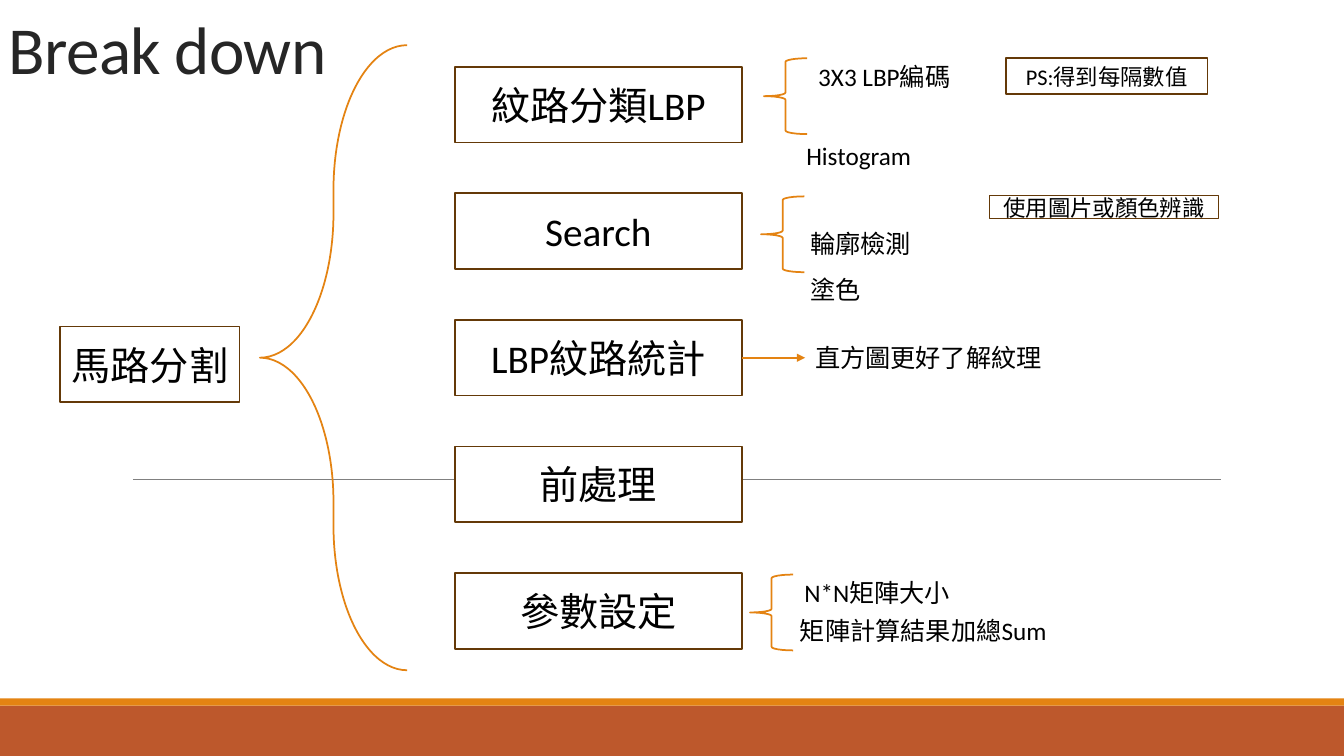
"""Builds the "Break down" slide: a brace tree of road segmentation steps."""
from pptx import Presentation
from pptx.dml.color import RGBColor
from pptx.enum.shapes import MSO_CONNECTOR as CONN, MSO_SHAPE as SHAPE
from pptx.enum.text import MSO_ANCHOR as ANCHOR, PP_ALIGN as ALIGN
from pptx.oxml.ns import qn
from pptx.util import Cm, Pt
from lxml.etree import SubElement

FONT = "Calibri"
WIDTH, HEIGHT = 33.87, 19.05
ORANGE, RUST, BROWN, GREY = "E48312", "BD582C", "643908", "808080"
WHITE, BLACK, DARK = "FFFFFF", "000000", "262626"

TITLE = ("Break down", (-0.03, 0.79, 13.39, 1.55))
BANDS = [(RUST, (0, 17.78, WIDTH, 1.27)), (ORANGE, (0, 17.6, WIDTH, 0.18))]
RULE = (3.35, 12.07, 30.78, 12.07)

ROOT = ("馬路分割", (1.52, 8.23, 4.52, 1.91))
STEPS = ["紋路分類LBP", "Search", "LBP紋路統計", "前處理", "參數設定"]
STEP_X, STEP_Y, STEP_W, STEP_H, STEP_PITCH = 11.46, 1.68, 7.24, 1.91, 3.19

ROOT_BRACE = (6.55, 1.14, 3.71, 15.75)
STEP_BRACES = [(19.25, 1.47), (19.18, 4.95), (18.9, 14.48)]
BRACE_W, BRACE_H = 1.09, 1.91

NOTE_H = 1.03
HISTOGRAM_NOTE = ("直方圖更好了解紋理", 20.29, 8.5, 6.22)
NOTES = [
    ("3X3 LBP編碼", 20.37, 1.42, 7.57),
    ("Histogram", 20.07, 3.4, 13.5),
    ("輪廓檢測", 20.17, 5.64, 13.5),
    ("塗色", 20.17, 6.78, 13.5),
    ("N*N矩陣大小", 20.02, 14.43, 7.57),
    ("矩陣計算結果加總Sum", 19.91, 15.37, 13.5),
]
TAGS = [
    ("PS:得到每隔數值", (25.35, 1.47, 5.08, 0.91)),
    ("使用圖片或顏色辨識", (24.94, 4.93, 5.77, 0.58)),
]


def rgb(hex_color):
    return RGBColor.from_string(hex_color)


def write(sp, text, size, color=BLACK, align=ALIGN.LEFT, anchor=ANCHOR.TOP):
    tf = sp.text_frame
    tf.word_wrap = True
    tf.vertical_anchor = anchor
    p = tf.paragraphs[0]
    p.alignment = align
    r = p.add_run()
    r.text = text
    r.font.name, r.font.size = FONT, Pt(size)
    r.font.color.rgb = rgb(color)
    return p, r


def add_shape(slide, kind, box, fill=None, line=None):
    sp = slide.shapes.add_shape(kind, *map(Cm, box))
    sp.shadow.inherit = False
    if fill:
        sp.fill.solid()
        sp.fill.fore_color.rgb = rgb(fill)
    else:
        sp.fill.background()
    if line:
        sp.line.color.rgb = rgb(line)
        sp.line.width = Pt(1.25)
    else:
        sp.line.fill.background()
    return sp


def add_box(slide, text, box, size=28):
    sp = add_shape(slide, SHAPE.RECTANGLE, box, WHITE, BROWN)
    write(sp, text, size, align=ALIGN.CENTER, anchor=ANCHOR.MIDDLE)
    return sp


def add_brace(slide, box):
    return add_shape(slide, SHAPE.LEFT_BRACE, box, line=ORANGE)


def add_note(slide, text, x, y, w):
    sp = slide.shapes.add_textbox(Cm(x), Cm(y), Cm(w), Cm(NOTE_H))
    write(sp, text, 18)
    return sp


def add_line(slide, ends, color, width):
    cn = slide.shapes.add_connector(CONN.STRAIGHT, *map(Cm, ends))
    cn.line.color.rgb = rgb(color)
    cn.line.width = Pt(width)
    SubElement(cn._element.spPr, qn("a:effectLst"))
    return cn


def add_title(slide, text, box):
    sp = slide.shapes.add_textbox(*map(Cm, box))
    p, r = write(sp, text, 48, DARK, anchor=ANCHOR.BOTTOM)
    p.line_spacing = 0.85
    r._r.get_or_add_rPr().set("spc", "-50")


def main():
    prs = Presentation()
    prs.slide_width, prs.slide_height = Cm(WIDTH), Cm(HEIGHT)
    slide = prs.slides.add_slide(prs.slide_layouts[6])

    for color, box in BANDS:
        add_shape(slide, SHAPE.RECTANGLE, box, color)
    add_line(slide, RULE, GREY, 0.5)
    add_title(slide, *TITLE)

    add_box(slide, *ROOT)
    add_brace(slide, ROOT_BRACE).adjustments[0] = 0.981
    steps = [
        add_box(slide, text, (STEP_X, STEP_Y + i * STEP_PITCH, STEP_W, STEP_H))
        for i, text in enumerate(STEPS)
    ]

    for note in NOTES:
        add_note(slide, *note)
    for x, y in STEP_BRACES:
        add_brace(slide, (x, y, BRACE_W, BRACE_H))
    for text, box in TAGS:
        add_box(slide, text, box, 16)

    histogram = add_note(slide, *HISTOGRAM_NOTE)
    arrow = add_line(slide, (0, 0, 0, 0), ORANGE, 1.25)
    arrow.begin_connect(steps[2], 3)
    arrow.end_connect(histogram, 1)
    SubElement(arrow.line._get_or_add_ln(), qn("a:tailEnd"), type="triangle")

    prs.save("out.pptx")


if __name__ == "__main__":
    main()
